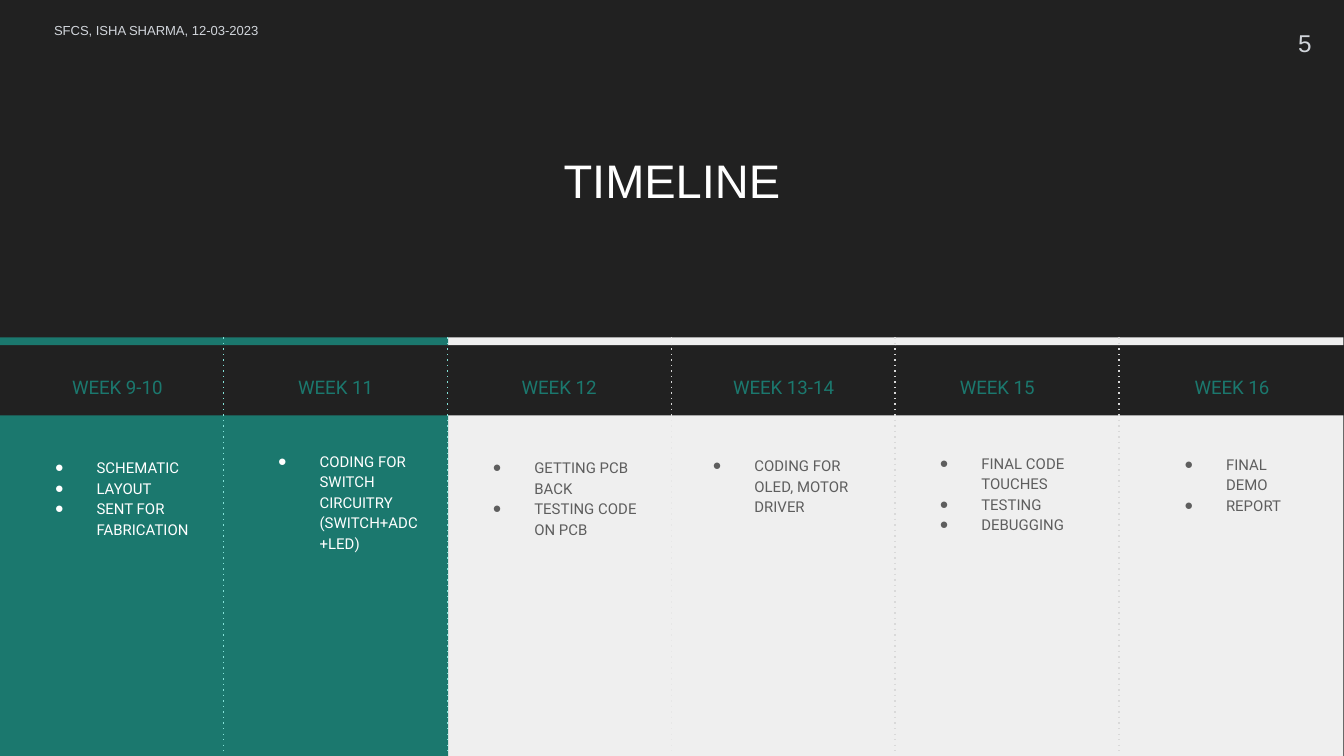
import pptx
import pptx.util
import pptx.dml.color
import pptx.enum.dml
import pptx.enum.shapes
import pptx.enum.text
import pptx.oxml
import pptx.oxml.ns
from lxml import etree

Pt = pptx.util.Pt
qn = pptx.oxml.ns.qn
ALIGN = pptx.enum.text.PP_ALIGN
ANCHOR = pptx.enum.text.MSO_ANCHOR
AUTO = pptx.enum.text.MSO_AUTO_SIZE

COLORS = {
    "dark": "212121", "white": "FFFFFF", "teal": "1B786E", "mint": "83E3D9",
    "pale": "EFEFEF", "rule": "D9D9D9", "text": "5E5E5E", "meta": "D1D5DB",
}

# The grid has 100 columns and 56.25 rows of equal size
GRID_COLS, GRID_ROWS = 100, 56.25
WEEK_STEP, WEEK_W = 16.65, 16.7
BAR_TOP, BAR_H, LABEL_TOP, PANEL_TOP = 25.1, 0.6, 26.7, 30.9
RULE_BOTTOM = 56.1

# Label, label left, body (left, top, width), bullets
WEEKS = [
    ("WEEK 9-10", 1.93, (1.2, 32.93, 14.3), ["SCHEMATIC", "LAYOUT", "SENT FOR FABRICATION"]),
    ("WEEK 11", 18.17, (17.8, 32.47, 14.6), ["CODING FOR SWITCH CIRCUITRY (SWITCH+ADC+LED)"]),
    ("WEEK 12", 34.8, (33.77, 32.93, 15.7), ["GETTING PCB BACK", "TESTING CODE ON PCB"]),
    ("WEEK 13-14", 51.5, (50.15, 32.8, 16.3), ["CODING FOR OLED, MOTOR DRIVER"]),
    ("WEEK 15", 67.4, (67.03, 32.6, 15), ["FINAL CODE TOUCHES", "TESTING", "DEBUGGING"]),
    ("WEEK 16", 84.87, (85.24, 32.7, 12.8), ["FINAL DEMO", "REPORT"]),
]
STACKING = (5, 4, 2, 1, 0, 3)  # back to front; week 13-14 covers the rule on its left
DONE_WEEKS = 2


class Deck:
    def __init__(self, prs):
        self.unit = prs.slide_width / GRID_COLS
        self.s = prs.slides.add_slide(prs.slide_layouts[5])
        fill = self.s.background.fill
        fill.solid()
        fill.fore_color.rgb = self.color("dark")

    def color(self, name):
        return pptx.dml.color.RGBColor.from_string(COLORS[name])

    def at(self, *cells):
        return [round(c * self.unit) for c in cells]

    def frame(self, sp, anchor=ANCHOR.TOP, auto=AUTO.NONE):
        tf = sp.text_frame
        tf.word_wrap = True
        tf.auto_size = auto
        tf.vertical_anchor = anchor
        tf.margin_left = tf.margin_right = tf.margin_top = tf.margin_bottom = self.at(1)[0]
        return tf

    def run(self, p, text, size, color, font):
        r = p.add_run()
        r.text = text
        r.font.size = Pt(size)
        r.font.name = font
        r.font.color.rgb = self.color(color)

    def title(self, text, *box):
        sp = self.s.shapes.title
        sp.left, sp.top, sp.width, sp.height = self.at(*box)
        p = self.frame(sp, ANCHOR.BOTTOM).paragraphs[0]
        p.alignment = ALIGN.CENTER
        self.run(p, text, 25.2, "white", "Arial")

    def meta(self, text, size, *box):
        sp = self.s.shapes.add_textbox(*self.at(*box))
        p = self.frame(sp, auto=AUTO.SHAPE_TO_FIT_TEXT).paragraphs[0]
        self.run(p, text, size, "meta", "Arial")

    def rect(self, color, *box):
        sp = self.s.shapes.add_shape(pptx.enum.shapes.MSO_SHAPE.RECTANGLE, *self.at(*box))
        sp.shadow.inherit = False
        sp.fill.solid()
        sp.fill.fore_color.rgb = self.color(color)
        sp.line.fill.background()

    def divider(self, color, x, top, bottom):
        sp = self.s.shapes.add_connector(
            pptx.enum.shapes.MSO_CONNECTOR.STRAIGHT, *self.at(x, top, x, bottom))
        sp.line.color.rgb = self.color(color)
        sp.line.width = Pt(0.75)
        sp.line.dash_style = pptx.enum.dml.MSO_LINE.ROUND_DOT
        # The wide-spaced dot has no member in MSO_LINE
        spPr = sp._element.spPr
        spPr.find(qn("a:ln")).find(qn("a:prstDash")).set("val", "dot")
        etree.SubElement(spPr, qn("a:effectLst"))

    def label(self, text, *box):
        p = self.frame(self.s.shapes.add_textbox(*self.at(*box))).paragraphs[0]
        p.alignment = ALIGN.CENTER
        p.line_spacing = 1.15
        p.space_after = Pt(16)
        self.run(p, text, 10, "teal", "Roboto")

    def bullets(self, items, color, *box):
        tf = self.frame(self.s.shapes.add_textbox(*self.at(*box)))
        for i, item in enumerate(items):
            p = tf.add_paragraph() if i else tf.paragraphs[0]
            p.line_spacing = 1.15
            self.run(p, item, 8, color, "Roboto")
            self.bullet(p, color)

    def bullet(self, p, color):
        pPr = p._p.get_or_add_pPr()
        indent, hanging = self.at(5, -3.1)
        pPr.set("marL", str(indent))
        pPr.set("indent", str(hanging))
        clr = etree.SubElement(pPr, qn("a:buClr"))
        etree.SubElement(clr, qn("a:srgbClr"), val=COLORS[color])
        etree.SubElement(pPr, qn("a:buFont"), typeface="Arial")
        etree.SubElement(pPr, qn("a:buChar"), char="●")


def main():
    prs = pptx.Presentation()
    prs.slide_width = pptx.util.Inches(10)
    prs.slide_height = prs.slide_width * 9 // 16
    deck = Deck(prs)

    # Title
    deck.title("TIMELINE", 3.4, 10.2, 93.2, 6.3)

    # Week columns: panel, top bar, rule on the right, bullets
    for i in STACKING:
        _, _, (left, top, width), items = WEEKS[i]
        done = i < DONE_WEEKS
        fill = "teal" if done else "pale"
        x = i * WEEK_STEP
        deck.rect(fill, x, PANEL_TOP, WEEK_W, GRID_ROWS - PANEL_TOP)
        deck.rect(fill, x, BAR_TOP, WEEK_W, BAR_H)
        if i < len(WEEKS) - 1:
            deck.divider("mint" if done else "rule", x + WEEK_STEP, BAR_TOP, RULE_BOTTOM)
        deck.bullets(items, "white" if done else "text", left, top, width, 12)

    # Week labels
    for text, left, _, _ in WEEKS:
        deck.label(text, left, LABEL_TOP, 13.6, 2.8)

    # Slide number and author line
    deck.meta("5", 13, 95.6, 1.1, 3.4, 4.2)
    deck.meta("SFCS, ISHA SHARMA, 12-03-2023", 7, 3.04, 1.1, 18.3, 3.2)

    prs.save("out.pptx")


if __name__ == "__main__":
    main()
